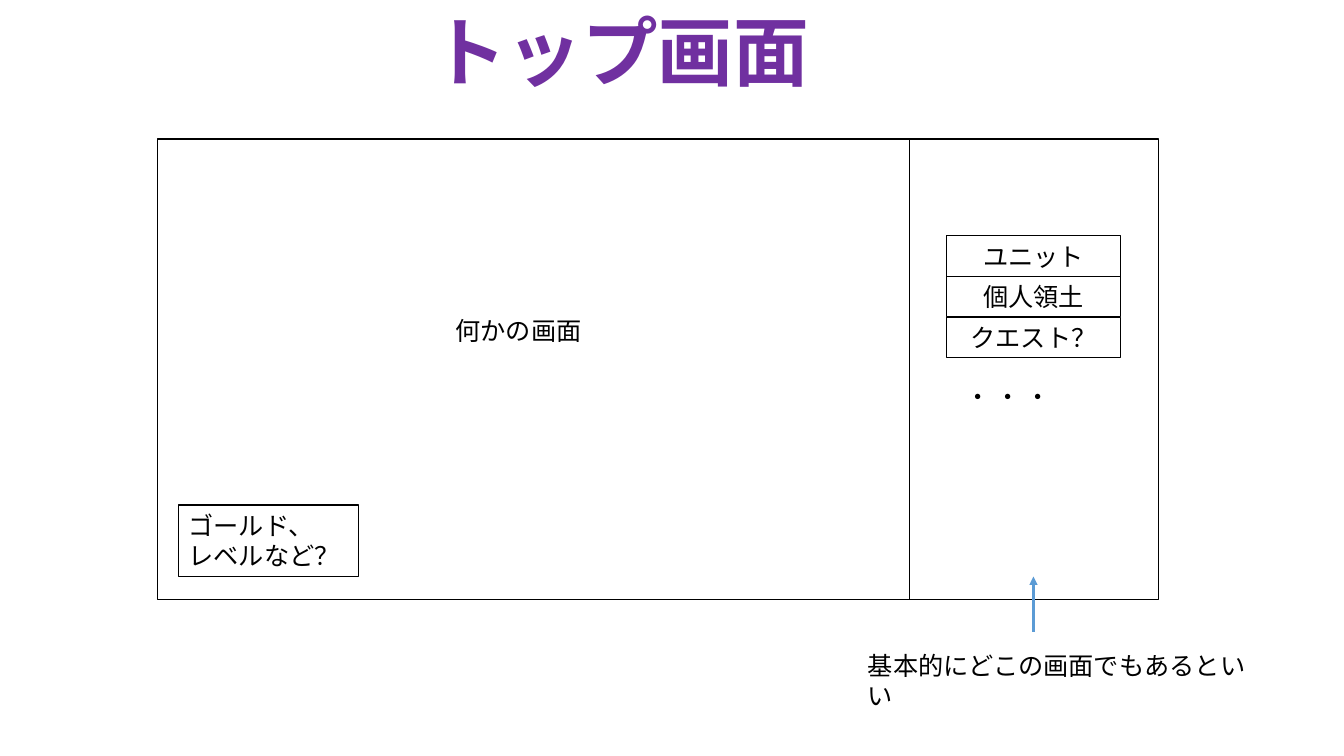
"""Builds the top-screen wireframe slide."""
import pptx
import pptx.util
import pptx.dml.color
import pptx.enum.shapes
import pptx.enum.text
import pptx.oxml

Inches, Pt = pptx.util.Inches, pptx.util.Pt
ALIGN = pptx.enum.text.PP_ALIGN
RECTANGLE = pptx.enum.shapes.MSO_SHAPE.RECTANGLE
COLORS = {"title": "7030A0", "ink": "000000", "arrow": "5B9BD5"}


def write(box, lines, size=18, color="ink", bold=False, align=ALIGN.LEFT):
    frame = box.text_frame
    frame.word_wrap = True
    frame.auto_size = pptx.enum.text.MSO_AUTO_SIZE.SHAPE_TO_FIT_TEXT
    frame.vertical_anchor = pptx.enum.text.MSO_ANCHOR.TOP
    for index, line in enumerate(lines):
        para = frame.paragraphs[0] if index == 0 else frame.add_paragraph()
        para.alignment = align
        span = para.add_run()
        span.text = line
        span.font.name = "Calibri"
        span.font.size = Pt(size)
        span.font.bold = bold
        span.font.color.rgb = pptx.dml.color.RGBColor.from_string(COLORS[color])


def style_line(shape, color, width):
    shape.line.color.rgb = pptx.dml.color.RGBColor.from_string(COLORS[color])
    shape.line.width = Pt(width)


deck = pptx.Presentation()
deck.slide_width, deck.slide_height = Inches(13.33), Inches(7.5)
page = deck.slides.add_slide(deck.slide_layouts[5])

title = page.shapes.title
title.left, title.top = Inches(3.79), Inches(0)
title.width, title.height = Inches(4.72), Inches(1.01)
write(title, ["トップ画面"], 54, "title", True, ALIGN.CENTER)

menu = [(9.39, 2.34 + 0.405 * row, 1.72, 0.4, 0.75, [label], ALIGN.CENTER)
        for row, label in enumerate(["ユニット", "個人領土", "クエスト？"])]
frames = [
    (1.56, 1.38, 9.93, 4.57, 1, [], ALIGN.LEFT),
    (1.77, 5.01, 1.79, 0.71, 0.75, ["ゴールド、", "レベルなど？"], ALIGN.LEFT),
]
for left, top, width, height, weight, lines, align in frames + menu:
    box = page.shapes.add_shape(
        RECTANGLE, Inches(left), Inches(top), Inches(width), Inches(height))
    box.shadow.inherit = False
    box.fill.background()
    style_line(box, "ink", weight)
    if lines:
        write(box, lines, align=align)

labels = [
    (4.42, 3.08, 1.73, 0.4, "何かの画面", "horz"),
    (9.99, 3.71, 0.5, 0.54, "・・・", "eaVert"),
    (8.51, 6.4, 4.07, 0.4, "基本的にどこの画面でもあるといい", "horz"),
]
for left, top, width, height, text, direction in labels:
    box = page.shapes.add_textbox(
        Inches(left), Inches(top), Inches(width), Inches(height))
    write(box, [text])
    box.text_frame._txBody.bodyPr.set("vert", direction)

connectors = [
    (9.02, 1.38, 9.02, 5.95, "ink", 0.5, None),
    (10.25, 6.27, 10.25, 5.72, "arrow", 2, "triangle"),
]
for x1, y1, x2, y2, color, weight, head in connectors:
    connector = page.shapes.add_connector(
        pptx.enum.shapes.MSO_CONNECTOR.STRAIGHT,
        Inches(x1), Inches(y1), Inches(x2), Inches(y2))
    style_line(connector, color, weight)
    properties = connector._element.spPr
    if head:
        tail = pptx.oxml.xmlchemy.OxmlElement("a:tailEnd")
        tail.set("type", head)
        properties.ln.append(tail)
    properties.append(pptx.oxml.xmlchemy.OxmlElement("a:effectLst"))

deck.save("out.pptx")
